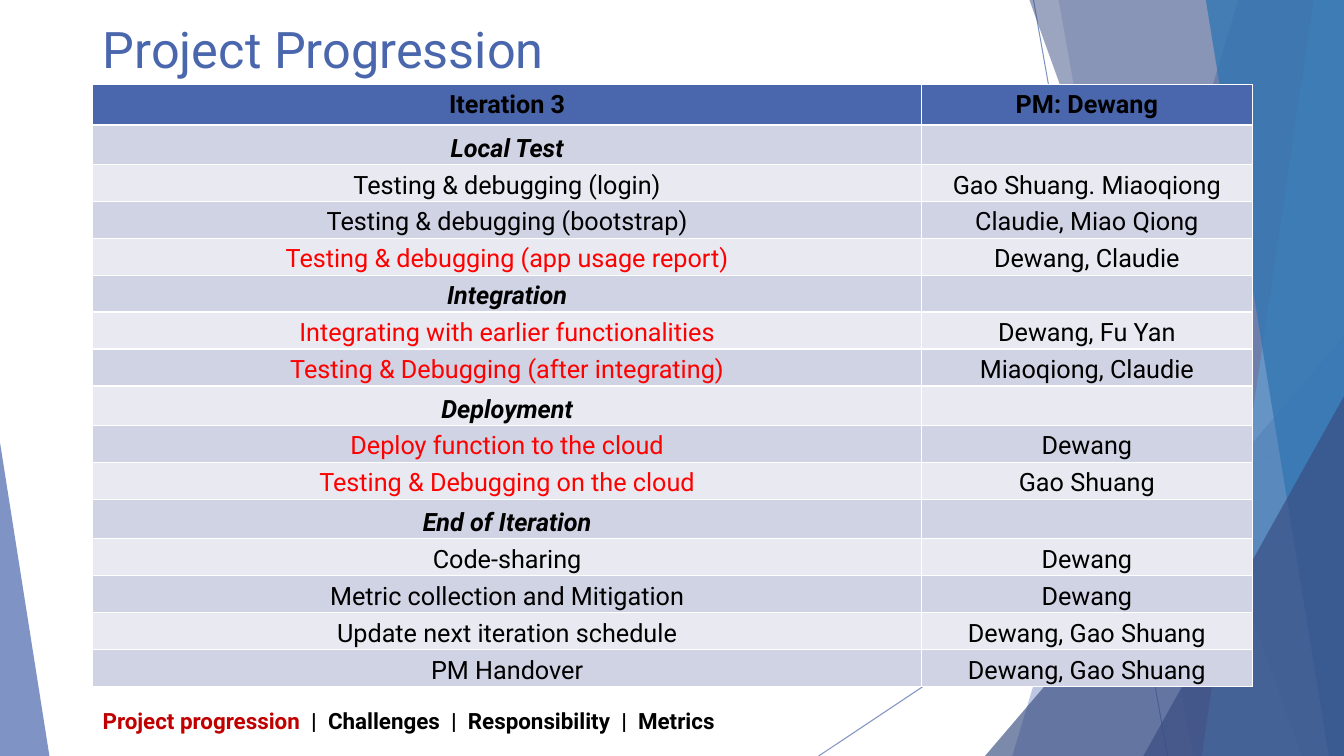
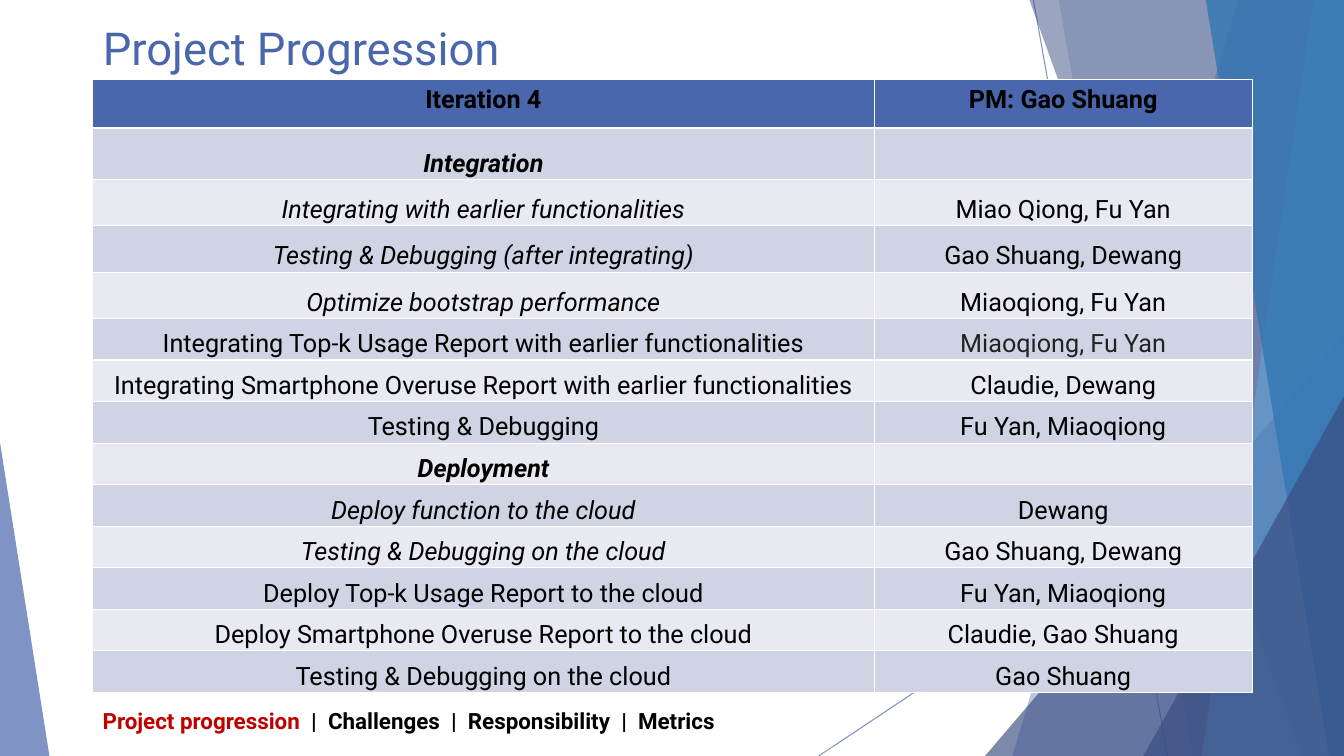
from dataclasses import dataclass, field
from enum import Enum
from typing import NamedTuple

from lxml.etree import SubElement
from pptx import Presentation
from pptx.dml.color import RGBColor
from pptx.enum.shapes import MSO_CONNECTOR as Connector, MSO_SHAPE as Preset
from pptx.enum.text import MSO_ANCHOR as Anchor, MSO_AUTO_SIZE as AutoSize, PP_ALIGN as Align
from pptx.oxml.ns import qn
from pptx.util import Inches, Pt

# The grid has cells of one inch.
COLUMNS, ROWS = 13.33, 7.5
LEFT, BODY_WIDTH = 0.92, 11.5
NAV_TOP, NAV_HEIGHT = 6.95, 0.4
TITLE_ONLY = 5
SECTIONS = ("Project progression", "Challenges", "Responsibility", "Metrics")


@dataclass(frozen=True)
class Theme:
    font: str = "Roboto"
    accent: str = "4A66AC"
    navy: str = "384C81"
    sky: str = "629DD1"
    ocean: str = "3477B2"
    bands: tuple[str, str] = ("E9EAF1", "D0D3E3")
    text: str = "000000"
    soft_text: str = "222222"
    late: str = "FF0000"
    current: str = "C00000"
    cell_size: float = 18
    nav_size: float = 16
    nav_gap: float = 4
    hairline: float = 0.75


THEME = Theme()


class Look(NamedTuple):
    bold: bool = False
    italic: bool = False
    color: str = THEME.text


class Kind(Enum):
    PLAIN = Look()
    ITALIC = Look(italic=True)
    LATE = Look(color=THEME.late)
    SECTION = Look(bold=True, italic=True)


class Task(NamedTuple):
    name: str
    owner: str = ""
    kind: Kind = Kind.PLAIN
    owner_color: str = THEME.text


class Ray(NamedTuple):
    start: tuple[float, float]
    end: tuple[float, float]


class Facet(NamedTuple):
    """A slanted edge from top to bottom, filled out to the right side."""
    top: float
    bottom: float
    color: str
    opacity: int


class Wedge(NamedTuple):
    """A right triangle standing on the bottom edge; apex is 0 (left) or 1 (right)."""
    left: float
    width: float
    height: float
    apex: int
    color: str
    opacity: int


@dataclass(frozen=True)
class Iteration:
    heading: Task
    title_top: float
    title_size: float
    table_top: float
    table_height: float
    first_column: float
    tasks: list[Task]
    tall_rows: dict[int, float] = field(default_factory=dict)

    def row_heights(self) -> list[float]:
        """Rows that are not tall share what is left of the height."""
        count = len(self.tasks) + 1
        rest = (self.table_height - sum(self.tall_rows.values())) / (count - len(self.tall_rows))
        return [self.tall_rows.get(row, rest) for row in range(count)]


RAYS = [Ray((10.25, 0), (11.58, ROWS)), Ray((COLUMNS, 4.03), (8.12, ROWS))]
FACETS = [
    Facet(12.28, 10.04, THEME.accent, 36),
    Facet(10.5, 11.83, THEME.accent, 20),
    Wedge(9.77, 3.56, 4.17, 1, THEME.navy, 66),
    Facet(10.21, 12.91, THEME.navy, 50),
    Facet(13.03, 11.92, THEME.sky, 70),
    Facet(11.96, 13.18, THEME.ocean, 80),
    Wedge(11.34, 1.99, 3.57, 1, THEME.navy, 66),
    Wedge(0, 0.49, 3.11, 0, THEME.accent, 70),
]

ITERATIONS = [
    Iteration(
        Task("Iteration 3", "PM: Dewang"),
        title_top=0.12, title_size=36, table_top=0.84, table_height=5.97, first_column=8.22,
        tall_rows={0: 0.4, 1: 0.39, 8: 0.39, 11: 0.39},
        tasks=[
            Task("Local Test", kind=Kind.SECTION),
            Task("Testing & debugging (login)", "Gao Shuang. Miaoqiong"),
            Task("Testing & debugging (bootstrap)", "Claudie, Miao Qiong"),
            Task("Testing & debugging (app usage report)", "Dewang, Claudie", Kind.LATE),
            Task("Integration", kind=Kind.SECTION),
            Task("Integrating with earlier functionalities", "Dewang, Fu Yan", Kind.LATE),
            Task("Testing & Debugging (after integrating)", "Miaoqiong, Claudie", Kind.LATE),
            Task("Deployment", kind=Kind.SECTION),
            Task("Deploy function to the cloud", "Dewang", Kind.LATE),
            Task("Testing & Debugging on the cloud", "Gao Shuang", Kind.LATE),
            Task("End of Iteration", kind=Kind.SECTION),
            Task("Code-sharing", "Dewang"),
            Task("Metric collection and Mitigation", "Dewang"),
            Task("Update next iteration schedule", "Dewang, Gao Shuang"),
            Task("PM Handover", "Dewang, Gao Shuang"),
        ],
    ),
    Iteration(
        Task("Iteration 4", "PM: Gao Shuang"),
        title_top=0.15, title_size=32.4, table_top=0.79, table_height=6.08, first_column=7.75,
        tall_rows={0: 0.48, 1: 0.51, 2: 0.46, 3: 0.46, 4: 0.46},
        tasks=[
            Task("Integration", kind=Kind.SECTION),
            Task("Integrating with earlier functionalities", "Miao Qiong, Fu Yan", Kind.ITALIC),
            Task("Testing & Debugging (after integrating)", "Gao Shuang, Dewang", Kind.ITALIC),
            Task("Optimize bootstrap performance", "Miaoqiong, Fu Yan", Kind.ITALIC),
            Task("Integrating Top-k Usage Report with earlier functionalities",
                 "Miaoqiong, Fu Yan", owner_color=THEME.soft_text),
            Task("Integrating Smartphone Overuse Report with earlier functionalities",
                 "Claudie, Dewang"),
            Task("Testing & Debugging", "Fu Yan, Miaoqiong"),
            Task("Deployment", kind=Kind.SECTION),
            Task("Deploy function to the cloud", "Dewang", Kind.ITALIC),
            Task("Testing & Debugging on the cloud", "Gao Shuang, Dewang", Kind.ITALIC),
            Task("Deploy Top-k Usage Report to the cloud", "Fu Yan, Miaoqiong"),
            Task("Deploy Smartphone Overuse Report to the cloud", "Claudie, Gao Shuang"),
            Task("Testing & Debugging on the cloud", "Gao Shuang"),
        ],
    ),
]


def style_span(span, size: float, look: Look) -> None:
    font = span.font
    font.name, font.size = THEME.font, Pt(size)
    font.bold, font.italic = look.bold, look.italic
    font.color.rgb = RGBColor.from_string(look.color)


def paint(fill, color: str, opacity: int) -> None:
    fill.solid()
    fill.fore_color.rgb = RGBColor.from_string(color)


def set_opacity(element, percent: int) -> None:
    """Make the first colour inside the element see-through."""
    color = next(element.iter(qn("a:srgbClr")))
    SubElement(color, qn("a:alpha")).set("val", str(percent * 1000))


def draw_ray(shapes, ray: Ray) -> None:
    line = shapes.add_connector(Connector.STRAIGHT, *map(Inches, ray.start + ray.end))
    line.line.width = Pt(THEME.hairline)
    line.line.color.rgb = RGBColor.from_string(THEME.accent)
    properties = line.element.spPr
    set_opacity(properties, 70)
    SubElement(properties, qn("a:effectLst"))


def draw_facet(shapes, facet: Facet | Wedge) -> None:
    if isinstance(facet, Wedge):
        area = (facet.left, ROWS - facet.height, facet.width, facet.height)
        shape = shapes.add_shape(Preset.ISOSCELES_TRIANGLE, *map(Inches, area))
        shape.adjustments[0] = facet.apex
    else:
        outline = shapes.build_freeform(Inches(facet.top), 0, scale=1.0)
        corners = [(COLUMNS, 0), (COLUMNS, ROWS), (facet.bottom, ROWS)]
        outline.add_line_segments([(Inches(x), Inches(y)) for x, y in corners], close=True)
        shape = outline.convert_to_shape()
    shape.shadow.inherit = False
    shape.line.fill.background()
    shape.fill.solid()
    shape.fill.fore_color.rgb = RGBColor.from_string(facet.color)
    set_opacity(shape.element.spPr, facet.opacity)


def decorate_layout(page) -> None:
    """Draw the facets on a page, then hand them to its layout so all pages share them."""
    group = page.shapes.add_group_shape()
    for ray in RAYS:
        draw_ray(group.shapes, ray)
    for facet in FACETS:
        draw_facet(group.shapes, facet)
    for number, properties in enumerate(group.element.iter(qn("p:cNvPr")), start=100):
        properties.set("id", str(number))
    page.slide_layout.shapes.element.append(group.element)


def add_title(page, iteration: Iteration) -> None:
    title = page.shapes.title
    title.left, title.top = Inches(LEFT), Inches(iteration.title_top)
    title.width = Inches(BODY_WIDTH)
    title.height = Inches(iteration.table_top - iteration.title_top)
    frame = title.text_frame
    frame.text = "Project Progression"
    frame.auto_size, frame.vertical_anchor = AutoSize.NONE, Anchor.MIDDLE
    para = frame.paragraphs[0]
    para.alignment = Align.LEFT
    style_span(para.runs[0], iteration.title_size, Look(color=THEME.accent))


def fill_cell(cell, text: str, look: Look, color: str, is_heading: bool) -> None:
    cell.fill.solid()
    cell.fill.fore_color.rgb = RGBColor.from_string(color)
    if not is_heading:
        cell.vertical_anchor = Anchor.BOTTOM
        cell.margin_left = cell.margin_right = Inches(0.02)
        cell.margin_top = cell.margin_bottom = Inches(0.01)
    if text:
        para = cell.text_frame.paragraphs[0]
        para.text = text
        para.alignment = Align.CENTER
        style_span(para.runs[0], THEME.cell_size, look)


def add_schedule(page, iteration: Iteration) -> None:
    area = (LEFT, iteration.table_top, BODY_WIDTH, iteration.table_height)
    heights = iteration.row_heights()
    table = page.shapes.add_table(len(heights), 2, *map(Inches, area)).table
    table.horz_banding = False
    table.columns[0].width = Inches(iteration.first_column)
    table.columns[1].width = Inches(BODY_WIDTH - iteration.first_column)
    for index, (task, height) in enumerate(zip([iteration.heading, *iteration.tasks], heights)):
        table.rows[index].height = Inches(height)
        is_heading = index == 0
        color = THEME.accent if is_heading else THEME.bands[index % 2]
        looks = (task.kind.value, Look(color=task.owner_color))
        if is_heading:
            looks = (Look(bold=True),) * 2
        for column, (text, look) in enumerate(zip((task.name, task.owner), looks)):
            fill_cell(table.cell(index, column), text, look, color, is_heading)


def add_navigation(page, current: str) -> None:
    area = (LEFT, NAV_TOP, BODY_WIDTH, NAV_HEIGHT)
    frame = page.shapes.add_textbox(*map(Inches, area)).text_frame
    frame.word_wrap, frame.vertical_anchor = True, Anchor.MIDDLE
    para = frame.paragraphs[0]
    for index, section in enumerate(SECTIONS):
        for text in (" ", "|", " ", section) if index else (section,):
            span = para.add_run()
            span.text = text
            color = THEME.current if text == current else THEME.text
            style_span(span, THEME.nav_size, Look(bold=True, color=color))
            if text == " ":
                span.font.element.set("spc", str(int(THEME.nav_gap * 100))) if hasattr(
                    span.font, "element") else span._r.get_or_add_rPr().set(
                    "spc", str(int(THEME.nav_gap * 100)))


def main() -> None:
    deck = Presentation()
    deck.slide_width, deck.slide_height = Inches(COLUMNS), Inches(ROWS)
    layout = deck.slide_layouts[TITLE_ONLY]
    for index, iteration in enumerate(ITERATIONS):
        page = deck.slides.add_slide(layout)
        if index == 0:
            decorate_layout(page)
        add_title(page, iteration)
        add_schedule(page, iteration)
        add_navigation(page, SECTIONS[0])
    deck.save("out.pptx")


if __name__ == "__main__":
    main()
